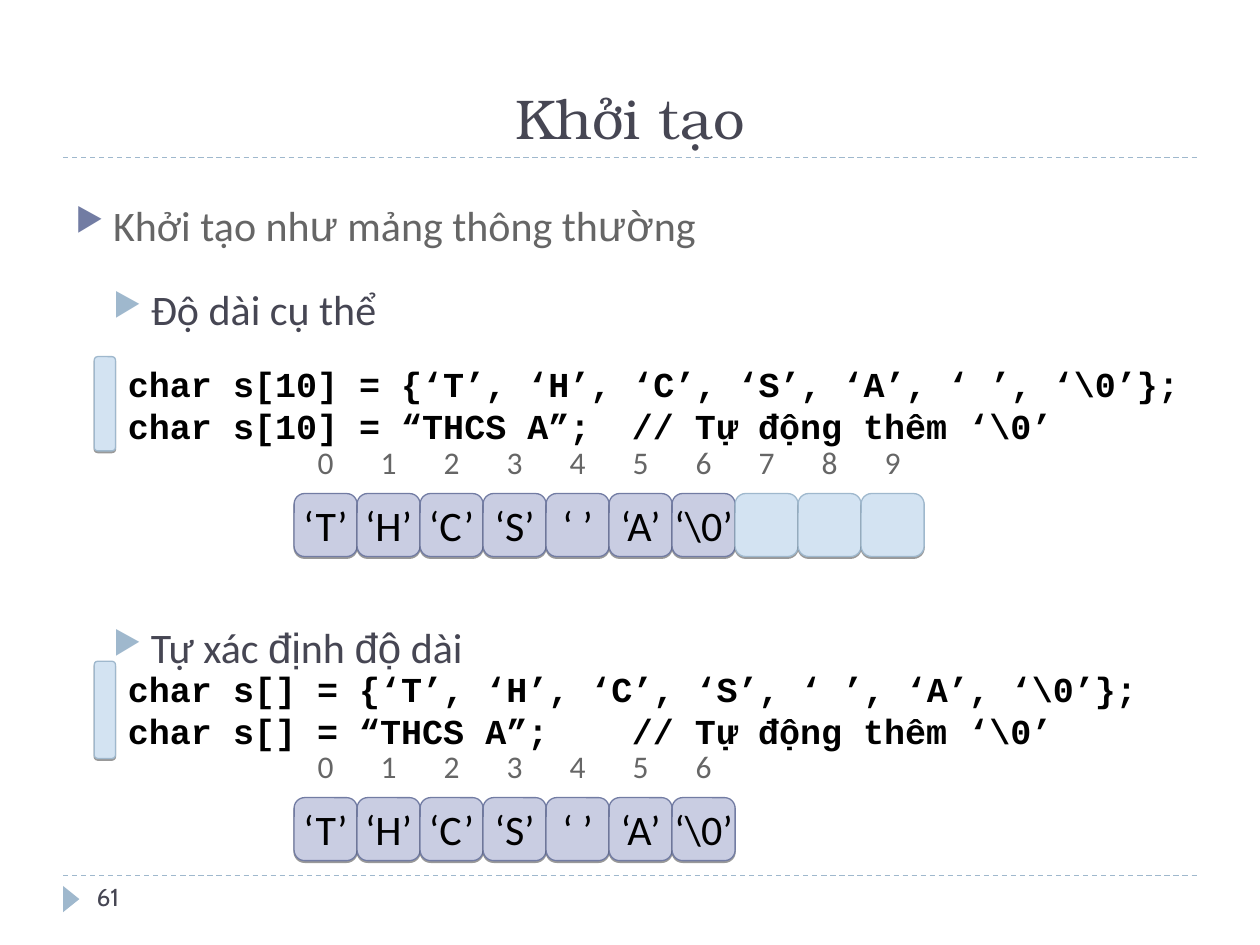
"""Builds a slide on initialising character arrays in C."""
from lxml.etree import SubElement
from pptx import Presentation
from pptx.dml.color import RGBColor
from pptx.enum.dml import MSO_LINE
from pptx.enum.shapes import MSO_CONNECTOR, MSO_SHAPE
from pptx.enum.text import MSO_ANCHOR, PP_ALIGN
from pptx.oxml.ns import qn
from pptx.util import Cm, Pt

COLORS = {
    "ink": "464653", "grey": "666666", "black": "000000", "sky": "9FB8CD",
    "pale_sky": "D3E3F2", "violet": "727CA3", "pale_violet": "C9CDE2",
}
CELL = 1.27
ROW_LEFT = 5.93


def add_text(para, text, size, font, color, bold=False):
    run = para.add_run()
    run.text = text
    run.font.size = Pt(size)
    run.font.name = font
    run.font.bold = bold
    run.font.color.rgb = RGBColor.from_string(COLORS[color])


def add_block(left, top, width, height, fill=None, line=None):
    block = page.shapes.add_shape(
        MSO_SHAPE.ROUNDED_RECTANGLE, Cm(left), Cm(top), Cm(width), Cm(height))
    block.shadow.inherit = False
    frame = block.text_frame
    frame.word_wrap = False
    frame.vertical_anchor = MSO_ANCHOR.MIDDLE
    frame.paragraphs[0].alignment = PP_ALIGN.CENTER
    if fill is None:
        block.fill.background()
        block.line.fill.background()
        return frame.paragraphs[0]
    block.fill.solid()
    block.fill.fore_color.rgb = RGBColor.from_string(COLORS[fill])
    block.line.color.rgb = RGBColor.from_string(COLORS[line])
    block.line.width = Pt(0.75)
    effects = block._element.spPr.find(qn("a:effectLst"))
    shadow = SubElement(effects, qn("a:outerShdw"), blurRad="0",
                        dist=str(Pt(1)), dir="5400000", rotWithShape="0")
    shade = SubElement(shadow, qn("a:srgbClr"), val=COLORS["black"])
    SubElement(shade, qn("a:alpha"), val="40000")
    return frame.paragraphs[0]


deck = Presentation()
deck.slide_width = Cm(25.4)
deck.slide_height = Cm(19.05)
page = deck.slides.add_slide(deck.slide_layouts[5])

for y in (17.65, 3.18):
    rule = page.shapes.add_connector(
        MSO_CONNECTOR.STRAIGHT, Cm(1.27), Cm(y), Cm(24.13), Cm(y))
    rule.line.color.rgb = RGBColor.from_string(COLORS["sky"])
    rule.line.width = Pt(0.75)
    rule.line.dash_style = MSO_LINE.DASH
    SubElement(rule._element.spPr, qn("a:effectLst"))

marker = page.shapes.add_shape(
    MSO_SHAPE.ISOSCELES_TRIANGLE, Cm(1.17), Cm(17.96), Cm(0.53), Cm(0.33))
marker.rotation = 90
marker.shadow.inherit = False
marker.fill.solid()
marker.fill.fore_color.rgb = RGBColor.from_string(COLORS["sky"])
marker.line.fill.background()

title = page.shapes.title
title.left, title.top, title.width, title.height = Cm(1.27), Cm(0.43), Cm(22.86), Cm(2.74)
title.text_frame.vertical_anchor = MSO_ANCHOR.BOTTOM
title_para = title.text_frame.paragraphs[0]
title_para.alignment = PP_ALIGN.CENTER
add_text(title_para, "Khởi tạo", 32, "TeX Gyre Bonum", "ink")

outline = [
    (0, 0, "grey", "violet", [
        ("Khởi tạo nh", "Calibri"), ("ư", "Arial"), (" mảng thông th", "Calibri"),
        ("ườ", "Arial"), ("ng", "Calibri")]),
    (1, 5, "ink", "sky", [("Độ dài cụ thể", "Calibri")]),
    (1, 150, "ink", "sky", [
        ("Tự xác ", "Calibri"), ("đị", "Arial"), ("nh ", "Calibri"),
        ("độ", "Arial"), (" dài", "Calibri")]),
]
body = page.shapes.add_textbox(Cm(1.27), Cm(3.38), Cm(22.86), Cm(13.72)).text_frame
body.word_wrap = True
for index, (level, space, color, bullet, pieces) in enumerate(outline):
    para = body.add_paragraph() if index else body.paragraphs[0]
    para.level = level
    props = para._p.get_or_add_pPr()
    props.set("marL", str(Cm(0.76 * (level + 1))))
    props.set("indent", str(-Cm(0.76)))
    bullet_color = SubElement(props, qn("a:buClr"))
    SubElement(bullet_color, qn("a:srgbClr"), val=COLORS[bullet])
    SubElement(props, qn("a:buSzPct"), val="76000")
    SubElement(props, qn("a:buChar"), char="▶")
    para.line_spacing = 1.5
    para.space_before = Pt(space)
    for text, font in pieces:
        add_text(para, text, 24, font, color)

letters = ["‘T’", "‘H’", "‘C’", "‘S’", "‘ ’", "‘A’", "‘\\0’"]
examples = [
    (7.19, 1.9, 9.95, 10, [
        "char s[10] = {‘T’, ‘H’, ‘C’, ‘S’, ‘A’, ‘ ’, ‘\\0’};",
        "char s[10] = “THCS A”;\t// Tự động thêm ‘\\0’"]),
    (13.33, 1.96, 16.08, 7, [
        "char s[] = {‘T’, ‘H’, ‘C’, ‘S’, ‘ ’, ‘A’, ‘\\0’};",
        "char s[] = “THCS A”;\t// Tự động thêm ‘\\0’"]),
]
for code_top, bar_height, row_top, length, code_lines in examples:
    add_block(1.9, code_top, 0.43, bar_height, "pale_sky", "sky")
    code = page.shapes.add_textbox(Cm(2.33), Cm(code_top), Cm(23.07), Cm(1.96)).text_frame
    code.word_wrap = True
    for index, code_line in enumerate(code_lines):
        para = code.add_paragraph() if index else code.paragraphs[0]
        tabs = SubElement(para._p.get_or_add_pPr(), qn("a:tabLst"))
        SubElement(tabs, qn("a:tab"), pos=str(Cm(10.16)), algn="l")
        add_text(para, code_line, 20, "Courier New", "black", bold=True)
    for index in range(length):
        left = ROW_LEFT + index * CELL
        label = add_block(left, row_top - CELL, CELL, CELL)
        add_text(label, str(index), 18, "Calibri", "grey")
        if index < len(letters):
            cell = add_block(left, row_top, CELL, CELL, "pale_violet", "violet")
            add_text(cell, letters[index], 24, "Calibri", "black")
        else:
            add_block(left, row_top, CELL, CELL, "pale_sky", "sky")

number = page.shapes.add_textbox(Cm(1.7), Cm(17.65), Cm(5.51), Cm(1.02)).text_frame
number.word_wrap = True
add_text(number.paragraphs[0], "61", 14, "Cabin", "ink")

deck.save("out.pptx")
